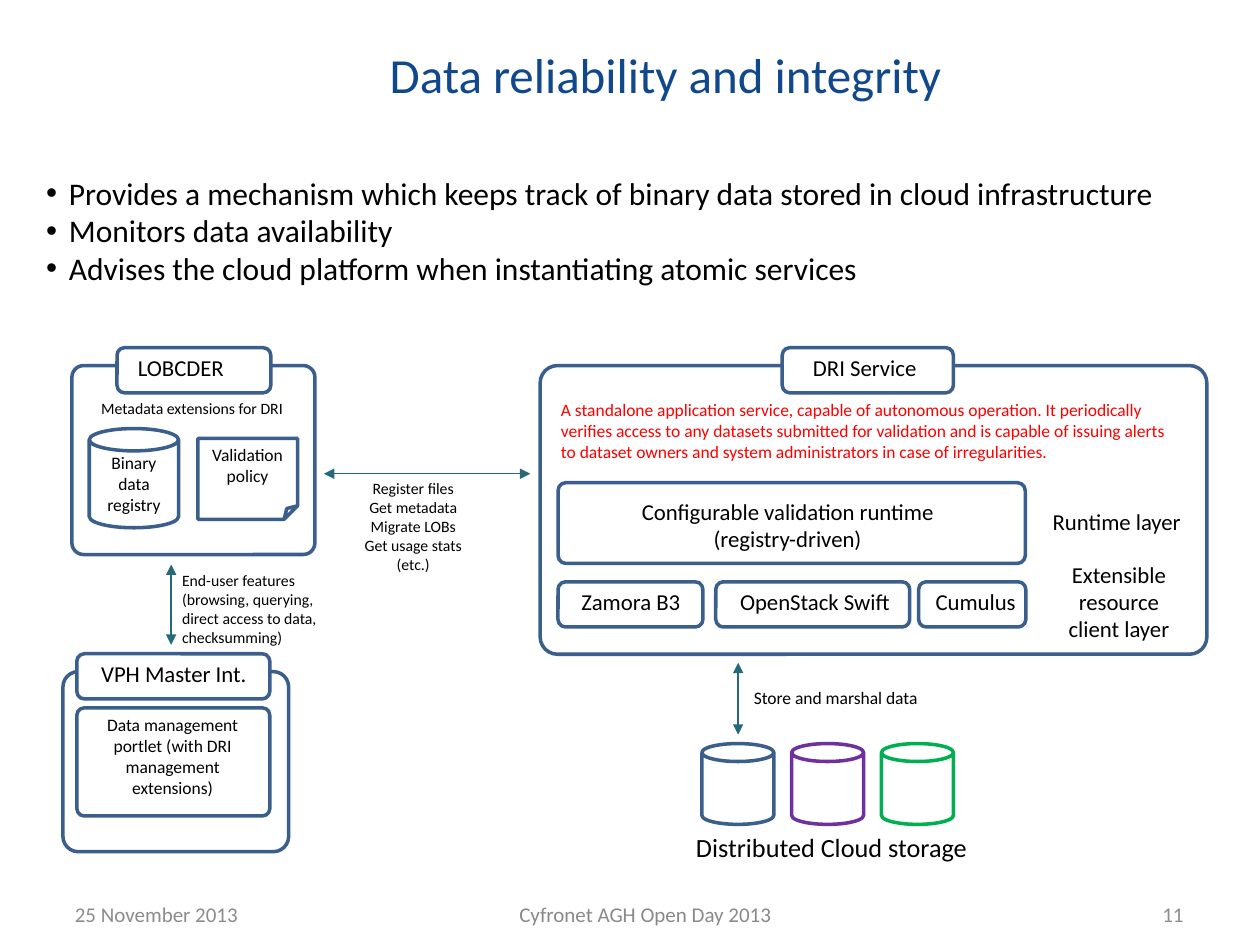
from dataclasses import dataclass
from typing import Optional

from lxml import etree
from pptx import Presentation
from pptx.dml.color import RGBColor
from pptx.enum.shapes import MSO_CONNECTOR, MSO_SHAPE
from pptx.enum.text import MSO_ANCHOR, PP_ALIGN
from pptx.oxml.ns import qn
from pptx.util import Cm, Pt

ROUND, CAN, FOLD = MSO_SHAPE.ROUNDED_RECTANGLE, MSO_SHAPE.CAN, MSO_SHAPE.FOLDED_CORNER
STRAIGHT = MSO_CONNECTOR.STRAIGHT
LEFT, MID, RIGHT = PP_ALIGN.LEFT, PP_ALIGN.CENTER, PP_ALIGN.RIGHT
TOP, CENTER = MSO_ANCHOR.TOP, MSO_ANCHOR.MIDDLE


@dataclass(frozen=True)
class Theme:
    font: str = "Calibri"
    title: str = "11488B"
    ink: str = "000000"
    alert: str = "FF0000"
    edge: str = "3A5F8C"
    arrow: str = "26697A"
    violet: str = "7030A0"
    green: str = "00B050"
    white: str = "FFFFFF"
    grey: str = "8C8C8C"
    foot: str = "898989"
    head: int = 28
    body: int = 18
    store: int = 15
    label: int = 13
    footer: int = 12
    small: int = 10
    tiny: int = 9
    stroke: float = 2
    thin: float = 0.75
    inset: float = 0.24


THEME = Theme()


@dataclass(frozen=True)
class Box:
    left: float
    top: float
    width: float
    height: float
    kind: MSO_SHAPE = ROUND
    edge: str = THEME.edge
    fill: Optional[str] = None
    bend: Optional[float] = None


@dataclass(frozen=True)
class Note:
    text: str
    left: float
    top: float
    width: float
    height: float
    size: int = THEME.label
    align: PP_ALIGN = LEFT
    wrap: bool = True
    color: str = THEME.ink
    anchor: MSO_ANCHOR = TOP
    dots: bool = False


@dataclass(frozen=True)
class Arrow:
    left: float
    top: float
    right: float
    base: float


BOXES = [
    Box(1.45, 7.37, 4.9, 3.81, bend=0.062),
    Box(1.8, 8.64, 1.8, 2, CAN),
    Box(2.36, 7.01, 3.1, 0.91, fill=THEME.white),
    Box(3.99, 8.84, 2.01, 1.63, FOLD),
    Box(10.89, 7.37, 13.44, 5.82, bend=0.06),
    Box(15.77, 7.01, 3.45, 0.91, fill=THEME.white),
    Box(11.25, 9.73, 9.42, 1.63, bend=0.099),
    Box(11.25, 11.73, 2.92, 0.91),
    Box(14.43, 11.73, 3.91, 0.91),
    Box(18.52, 11.73, 2.16, 0.91),
    Box(1.27, 13.54, 4.55, 3.63, bend=0.085),
    Box(1.55, 13.18, 3.89, 0.91, fill=THEME.white),
    Box(1.55, 14.27, 3.89, 2.18, fill=THEME.white, bend=0.068),
] + [
    Box(14.15 + 1.81 * step, 14.99, 1.45, 1.63, CAN, edge)
    for step, edge in enumerate((THEME.edge, THEME.violet, THEME.green))
]

ARROWS = [
    Arrow(6.53, 9.55, 10.69, 9.55),
    Arrow(14.88, 13.36, 14.88, 14.81),
    Arrow(3.45, 11.38, 3.45, 13),
]

NOTES = [
    Note("Provides a mechanism which keeps track of binary data stored in cloud infrastructure\n"
         "Monitors data availability\n"
         "Advises the cloud platform when instantiating atomic services",
         0.69, 3.38, 23.22, 2.54, THEME.body, dots=True),
    Note("LOBCDER", 2.54, 7.01, 2.21, 0.79, wrap=False),
    Note("Metadata extensions for DRI", 1.8, 7.92, 4.55, 0.61, THEME.tiny),
    Note("Binary\ndata\nregistry", 1.8, 8.99, 1.8, 1.55, THEME.small, MID),
    Note("Validation policy", 3.81, 8.84, 2.36, 1.09, THEME.small, MID),
    Note("Register files\nGet metadata\nMigrate LOBs\nGet usage stats\n(etc.)",
         7.11, 9.53, 2.44, 2.21, THEME.tiny, MID, False),
    Note("End-user features\n(browsing, querying,\ndirect access to data,\nchecksumming)",
         3.43, 11.38, 3.23, 1.8, THEME.tiny, wrap=False),
    Note("VPH Master Int.", 1.8, 13.18, 3.63, 0.81),
    Note("Data management portlet (with DRI management extensions)",
         1.7, 14.27, 3.56, 1.96, THEME.small, MID),
    Note("DRI Service", 16.15, 7.01, 2.57, 0.79, wrap=False),
    Note("A standalone application service, capable of autonomous operation. It periodically "
         "verifies access to any datasets submitted for validation and is capable of issuing "
         "alerts to dataset owners and system administrators in case of irregularities.",
         11.07, 7.92, 12.88, 1.52, THEME.small, color=THEME.alert),
    Note("Configurable validation runtime\n(registry-driven)",
         12.65, 9.91, 6.45, 1.4, align=MID, wrap=False),
    Note("Runtime layer", 20.96, 10.11, 3.1, 0.79, align=MID, wrap=False),
    Note("Extensible\nresource\nclient layer", 20.42, 11.18, 4.27, 1.91, align=MID),
    Note("Zamora B3", 11.48, 11.73, 2.59, 0.81, wrap=False),
    Note("OpenStack Swift", 14.68, 11.73, 3.58, 0.81, wrap=False),
    Note("Cumulus", 18.62, 11.73, 2.24, 0.81),
    Note("Store and marshal data", 14.94, 13.72, 3.81, 0.66, THEME.small, MID, False),
    Note("Distributed Cloud storage", 13.79, 16.64, 6.02, 0.89, THEME.store, wrap=False),
    Note("25 November 2013", 1.27, 17.91, 4.24, 1.02, THEME.footer,
         color=THEME.grey, anchor=CENTER),
    Note("Cyfronet AGH Open Day 2013", 5.11, 17.91, 15.8, 1.02, THEME.footer, MID,
         color=THEME.foot, anchor=CENTER),
    Note("11", 22.45, 17.91, 1.65, 1.02, THEME.footer, RIGHT,
         color=THEME.grey, anchor=CENTER),
]
TITLE = Note("Data reliability and integrity", 3.71, 0.05, 19.41, 2.87, THEME.head, MID,
             color=THEME.title, anchor=CENTER)


def tint(code: str) -> RGBColor:
    """Turn a hex code into a colour."""
    return RGBColor.from_string(code)


def write(frame, note: Note) -> None:
    """Fill a text frame with the lines of a note."""
    frame.word_wrap = note.wrap
    frame.vertical_anchor = note.anchor
    frame.margin_left = frame.margin_right = Cm(THEME.inset)
    frame.margin_top = frame.margin_bottom = Cm(THEME.inset / 2)
    for index, line in enumerate(note.text.split("\n")):
        para = frame.add_paragraph() if index else frame.paragraphs[0]
        para.alignment = note.align
        if note.dots:
            props = para._p.get_or_add_pPr()
            props.set("marL", str(Cm(0.46)))
            props.set("indent", str(-Cm(0.46)))
            etree.SubElement(props, qn("a:buFont")).set("typeface", "Arial")
            etree.SubElement(props, qn("a:buChar")).set("char", "•")
        run = para.add_run()
        run.text = line
        run.font.name, run.font.size = THEME.font, Pt(note.size)
        run.font.color.rgb = tint(note.color)


def place(item) -> tuple:
    """Give the frame of an item as lengths."""
    return Cm(item.left), Cm(item.top), Cm(item.width), Cm(item.height)


def draw_box(slide, box: Box) -> None:
    """Draw one outlined shape."""
    shape = slide.shapes.add_shape(box.kind, *place(box))
    shape.shadow.inherit = False
    if box.bend is not None:
        shape.adjustments[0] = box.bend
    if box.fill:
        shape.fill.solid()
        shape.fill.fore_color.rgb = tint(box.fill)
    else:
        shape.fill.background()
    shape.line.color.rgb = tint(box.edge)
    shape.line.width = Pt(THEME.stroke)


def draw_arrow(slide, arrow: Arrow) -> None:
    """Draw a line with a head at each end."""
    link = slide.shapes.add_connector(
        STRAIGHT, Cm(arrow.left), Cm(arrow.top), Cm(arrow.right), Cm(arrow.base))
    link.line.color.rgb = tint(THEME.arrow)
    link.line.width = Pt(THEME.thin)
    for end in ("a:headEnd", "a:tailEnd"):
        etree.SubElement(link.line._get_or_add_ln(), qn(end)).set("type", "triangle")
    etree.SubElement(link._element.spPr, qn("a:effectLst"))


def main() -> None:
    """Build the slide and save it."""
    deck = Presentation()
    deck.slide_width, deck.slide_height = Cm(25.4), Cm(19.05)
    slide = deck.slides.add_slide(deck.slide_layouts[5])
    title = slide.shapes.title
    title.left, title.top, title.width, title.height = place(TITLE)
    write(title.text_frame, TITLE)
    for box in BOXES:
        draw_box(slide, box)
    for arrow in ARROWS:
        draw_arrow(slide, arrow)
    for note in NOTES:
        write(slide.shapes.add_textbox(*place(note)).text_frame, note)
    deck.save("out.pptx")


if __name__ == "__main__":
    main()
